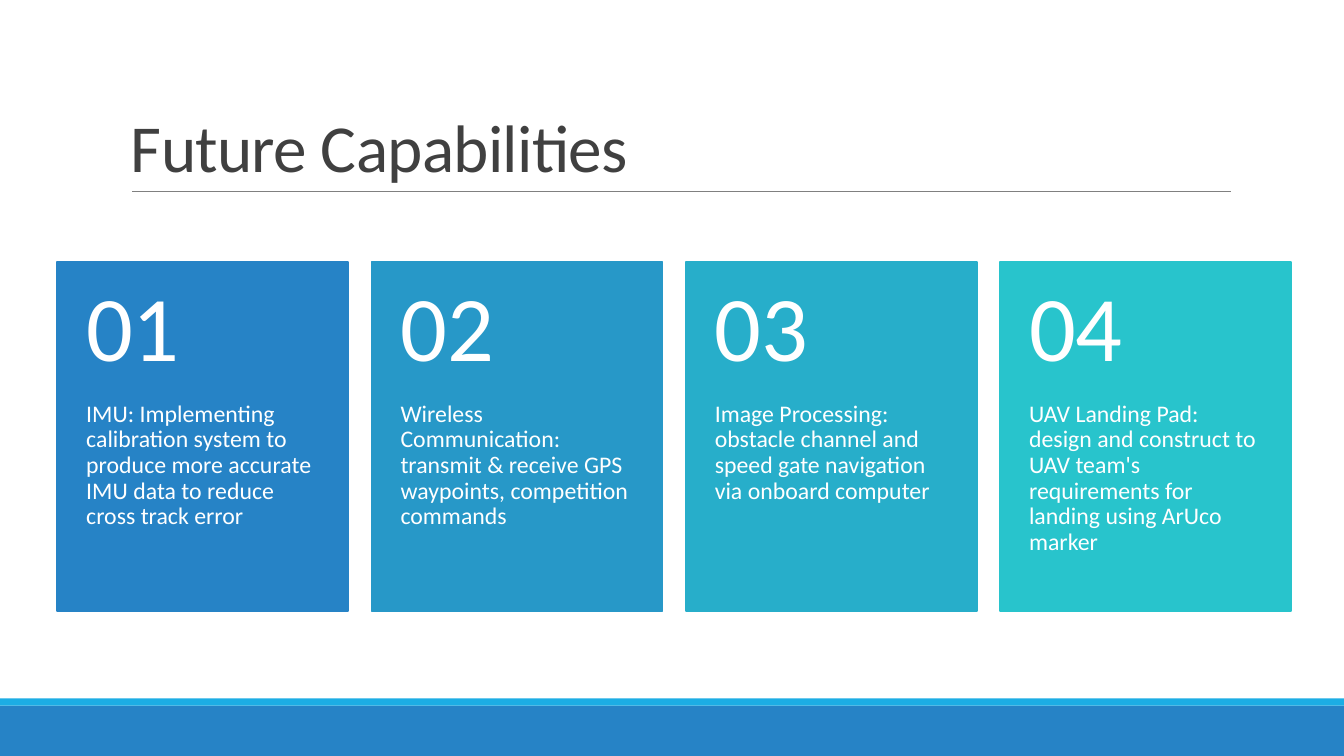
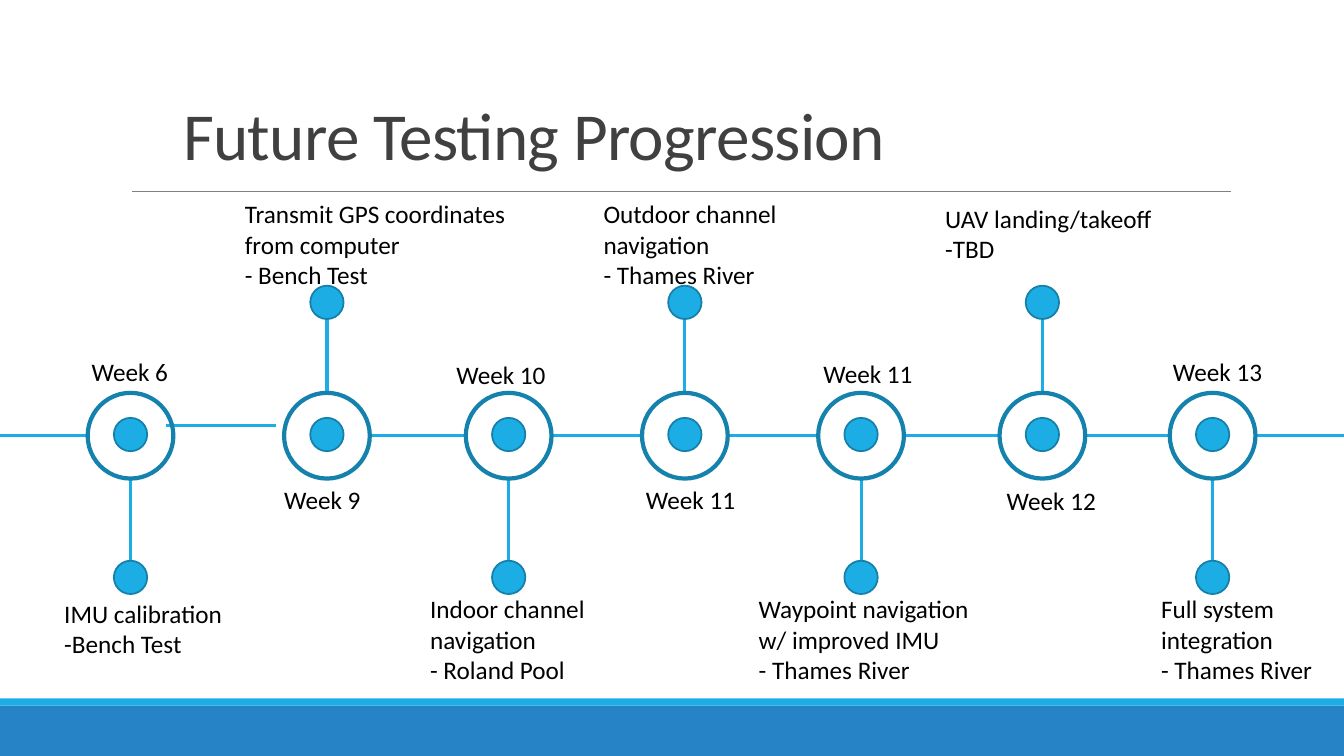
from dataclasses import dataclass
from itertools import pairwise

from lxml import etree
from pptx import Presentation
from pptx.dml.color import RGBColor
from pptx.enum.shapes import MSO_CONNECTOR, MSO_SHAPE
from pptx.enum.text import MSO_ANCHOR, PP_ALIGN
from pptx.oxml.ns import qn
from pptx.util import Cm, Pt

RECTANGLE = MSO_SHAPE.RECTANGLE
CIRCLE = MSO_SHAPE.FLOWCHART_CONNECTOR
STRAIGHT = MSO_CONNECTOR.STRAIGHT
TOP, MIDDLE, BOTTOM = MSO_ANCHOR.TOP, MSO_ANCHOR.MIDDLE, MSO_ANCHOR.BOTTOM
LEFT = PP_ALIGN.LEFT


@dataclass(frozen=True)
class Theme:
    """Colours, font and type sizes of the presentation."""
    font: str = "Calibri"
    white: str = "FFFFFF"
    black: str = "000000"
    title: str = "404040"
    rule: str = "808080"
    band: str = "2683C6"
    accent: str = "1CADE4"
    dot_edge: str = "1580A9"
    ring: str = "1482AC"
    cards: tuple = ("2683C6", "2798C8", "27AECA", "28C4CC")
    title_size: float = 48
    number_size: float = 66
    card_size: float = 17
    label_size: float = 18
    title_tracking: str = "-50"


@dataclass(frozen=True)
class Box:
    """A rectangle in centimetres."""
    left: float
    top: float
    width: float
    height: float

    def lengths(self):
        """Return the four values as slide lengths."""
        return [Cm(value) for value in (self.left, self.top, self.width, self.height)]


@dataclass(frozen=True)
class Milestone:
    """One stop of the timeline, with label places as (left, top)."""
    center: float
    week: str
    week_at: tuple
    details: tuple
    details_at: tuple
    details_width: float


THEME = Theme()
SLIDE = Box(0, 0, 33.87, 19.05)
INSETS = (0.25, 0.13, 0.25, 0.13)

CAPABILITIES = (
    "IMU: Implementing calibration system to produce more accurate IMU data to reduce cross track error",
    "Wireless Communication: transmit & receive GPS waypoints, competition commands",
    "Image Processing: obstacle channel and speed gate navigation via onboard computer",
    "UAV Landing Pad: design and construct to UAV team's requirements for landing using ArUco marker",
)

MILESTONES = (
    Milestone(3.29, "Week 6", (2.06, 4.04),
              ("IMU calibration", "-Bench Test"), (1.37, 10.14), 4.8),
    Milestone(8.24, "Week 9", (6.91, 7.27),
              ("Transmit GPS coordinates from computer", "- Bench Test"), (5.92, 0.08), 7.39),
    Milestone(12.82, "Week 10", (11.25, 4.12),
              ("Indoor channel navigation", "- Roland Pool"), (10.59, 10.03), 5.31),
    Milestone(17.26, "Week 11", (16.03, 7.27),
              ("Outdoor channel navigation", "- Thames River"), (14.96, 0.08), 5.03),
    Milestone(21.7, "Week 11", (20.5, 4.09),
              ("Waypoint navigation w/ improved IMU", "- Thames River"), (18.87, 10.03), 6.25),
    Milestone(26.27, "Week 12", (25.12, 7.29),
              ("UAV landing/takeoff", "-TBD"), (23.57, 0.2), 6.25),
    Milestone(30.56, "Week 13", (29.31, 4.04),
              ("Full system integration", "- Thames River"), (29.01, 10.03), 4.85),
)


def apply_format(target, values):
    """Set each named attribute on the target."""
    for name, value in values.items():
        setattr(target, name, value)


def add_block(slide, kind, box, fill=None, line=None, line_width=1.25):
    """Add a preset shape with optional fill and outline."""
    shape = slide.shapes.add_shape(kind, *box.lengths())
    shape.shadow.inherit = False
    if fill:
        shape.fill.solid()
        shape.fill.fore_color.rgb = RGBColor.from_string(fill)
    else:
        shape.fill.background()
    if line:
        shape.line.color.rgb = RGBColor.from_string(line)
        shape.line.width = Pt(line_width)
    else:
        shape.line.fill.background()


def add_circle(slide, x, y, diameter, **style):
    """Add a circle around a centre point."""
    box = Box(x - diameter / 2, y - diameter / 2, diameter, diameter)
    add_block(slide, CIRCLE, box, **style)


def add_line(slide, start, end, color=THEME.accent, width=2.25):
    """Add a straight line between two points."""
    connector = slide.shapes.add_connector(STRAIGHT, *[Cm(value) for value in (*start, *end)])
    connector.line.color.rgb = RGBColor.from_string(color)
    connector.line.width = Pt(width)
    etree.SubElement(connector._element.spPr, qn("a:effectLst"))


def add_text(slide, box, lines, size, color, anchor=TOP, insets=INSETS, spacing=1.0, tracking=None):
    """Add a wrapped text box with one paragraph per line."""
    frame = slide.shapes.add_textbox(*box.lengths()).text_frame
    left, top, right, bottom = [Cm(value) for value in insets]
    apply_format(frame, {
        "word_wrap": True, "vertical_anchor": anchor, "margin_left": left,
        "margin_top": top, "margin_right": right, "margin_bottom": bottom,
    })
    for index, line in enumerate(lines):
        paragraph = frame.add_paragraph() if index else frame.paragraphs[0]
        apply_format(paragraph, {"alignment": LEFT, "line_spacing": spacing})
        run = paragraph.add_run()
        run.text = line
        apply_format(run.font, {"name": THEME.font, "size": Pt(size)})
        run.font.color.rgb = RGBColor.from_string(color)
        if tracking:
            run.font._element.set("spc", tracking)


def add_base_slide(presentation, title, title_box):
    """Add a blank slide with bands, title rule and title."""
    slide = presentation.slides.add_slide(presentation.slide_layouts[6])
    add_block(slide, RECTANGLE, Box(0, 17.78, SLIDE.width, 1.27), THEME.band)
    add_block(slide, RECTANGLE, Box(0, 17.6, SLIDE.width, 0.18), THEME.accent)
    add_line(slide, (3.33, 4.83), (31.01, 4.83), THEME.rule, 0.5)
    add_text(slide, title_box, [title], THEME.title_size, THEME.title, BOTTOM,
             spacing=0.85, tracking=THEME.title_tracking)
    return slide


def add_card(slide, box, number, text, color):
    """Add a numbered card with its description."""
    add_block(slide, RECTANGLE, box, color, color)
    side, edge = box.width * 0.1, 0.46
    number_height = box.height * 0.4
    text_box = Box(box.left, box.top + number_height, box.width, box.height - number_height)
    number_box = Box(box.left, box.top, box.width, number_height)
    add_text(slide, text_box, [text], THEME.card_size, THEME.white,
             insets=(side, 0, side, 2 * edge), spacing=0.9)
    add_text(slide, number_box, [f"{number:02}"], THEME.number_size, THEME.white, MIDDLE,
             (side, edge, side, edge), 0.9)


def add_cards(slide, box, texts, gap=0.58):
    """Spread equal cards across the box."""
    width = (box.width - gap * (len(texts) - 1)) / len(texts)
    for index, (text, color) in enumerate(zip(texts, THEME.cards)):
        card_box = Box(box.left + index * (width + gap), box.top, width, box.height)
        add_card(slide, card_box, index + 1, text, color)


def add_milestone(slide, box, milestone, axis, radius, points_up):
    """Add the ring, stem, dots and labels of one milestone."""
    x, dot = box.left + milestone.center, 0.84
    dot_style = {"fill": THEME.accent, "line": THEME.dot_edge}
    ring_edge, end = (axis - radius, axis - 3.36) if points_up else (axis + radius, axis + 3.57)
    stem_end = end + dot / 2 if points_up else end - dot / 2
    add_line(slide, (x, ring_edge), (x, stem_end))
    add_circle(slide, x, axis - 0.03, dot, **dot_style)
    add_circle(slide, x, axis, 2 * radius, line=THEME.ring, line_width=3)
    add_circle(slide, x, end, dot, **dot_style)
    labels = (
        ([milestone.week], milestone.week_at, 3.1, 1.02),
        (milestone.details, milestone.details_at, milestone.details_width, 2.57),
    )
    for lines, (left, top), width, height in labels:
        label_box = Box(box.left + left, box.top + top, width, height)
        add_text(slide, label_box, lines, THEME.label_size, THEME.black)


def add_timeline(slide, box, milestones):
    """Add alternating milestones joined along one axis."""
    axis, radius = box.top + 6.18, 1.08
    centers = [box.left + milestone.center for milestone in milestones]
    links = [(left + radius, right - radius, axis) for left, right in pairwise(centers)]
    links[0] = (box.left + 4.19, box.left + 6.96, axis - 0.26)
    links.append((box.left, centers[0] - radius, axis))
    links.append((centers[-1] + radius, box.left + box.width, axis))
    for start, end, y in links:
        add_line(slide, (start, y), (end, y))
    for index, milestone in enumerate(milestones):
        add_milestone(slide, box, milestone, axis, radius, index % 2 == 1)


def add_capabilities_slide(presentation):
    """Add the slide of numbered cards."""
    slide = add_base_slide(presentation, "Future Capabilities", Box(3.05, 0.79, 27.94, 4.04))
    add_cards(slide, Box(1.44, 6.6, 31.1, 8.8), CAPABILITIES)


def add_testing_slide(presentation):
    """Add the slide with the testing timeline."""
    slide = add_base_slide(presentation, "Future Testing Progression", Box(4.37, 0.48, 27.94, 4.04))
    add_timeline(slide, Box(0, 4.8, SLIDE.width, 12.6), MILESTONES)


def main():
    """Build and save the presentation."""
    presentation = Presentation()
    apply_format(presentation, {"slide_width": Cm(SLIDE.width), "slide_height": Cm(SLIDE.height)})
    add_capabilities_slide(presentation)
    add_testing_slide(presentation)
    presentation.save("out.pptx")


if __name__ == "__main__":
    main()
